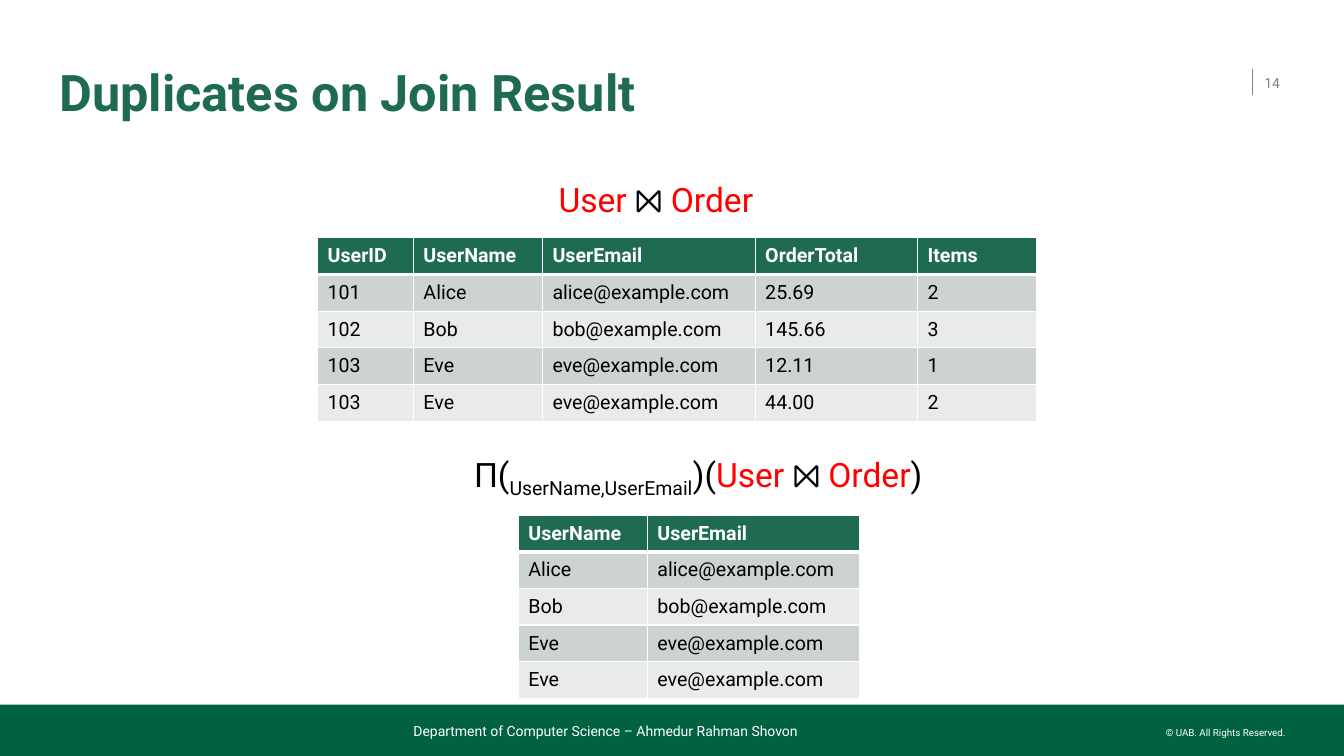
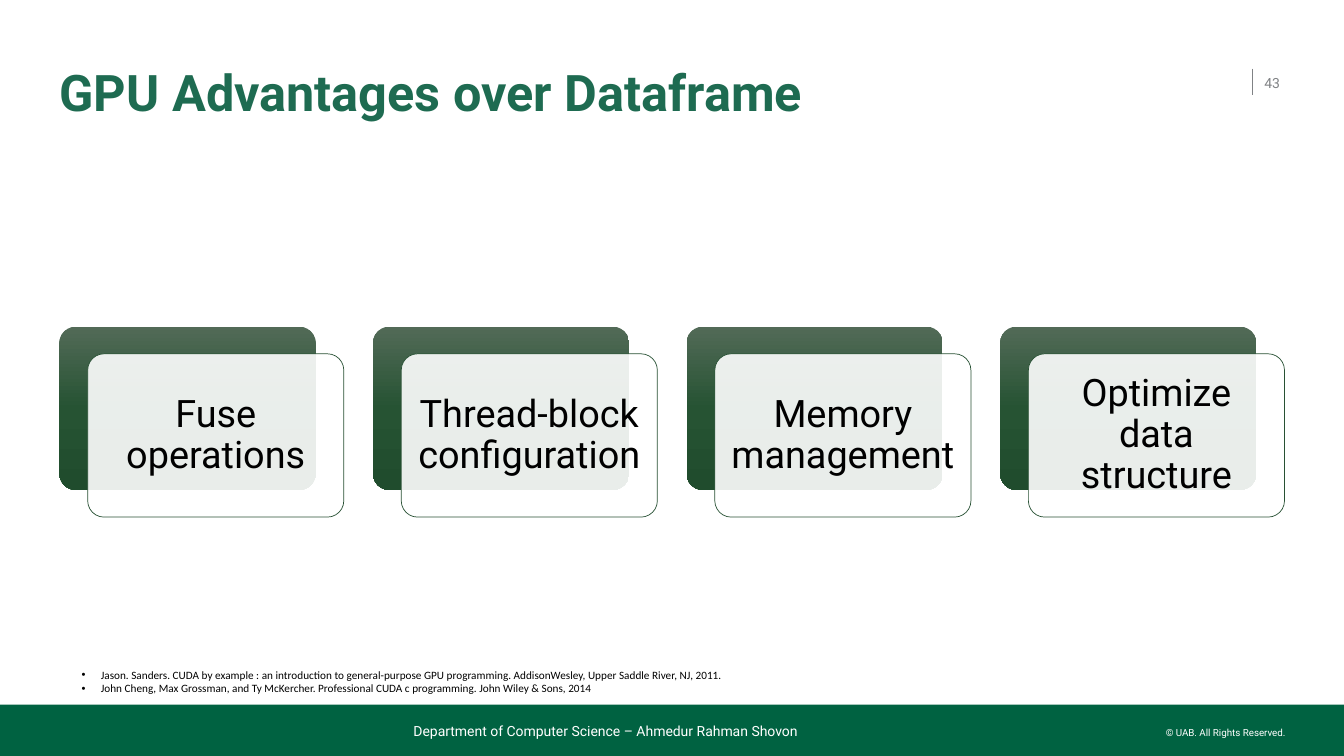
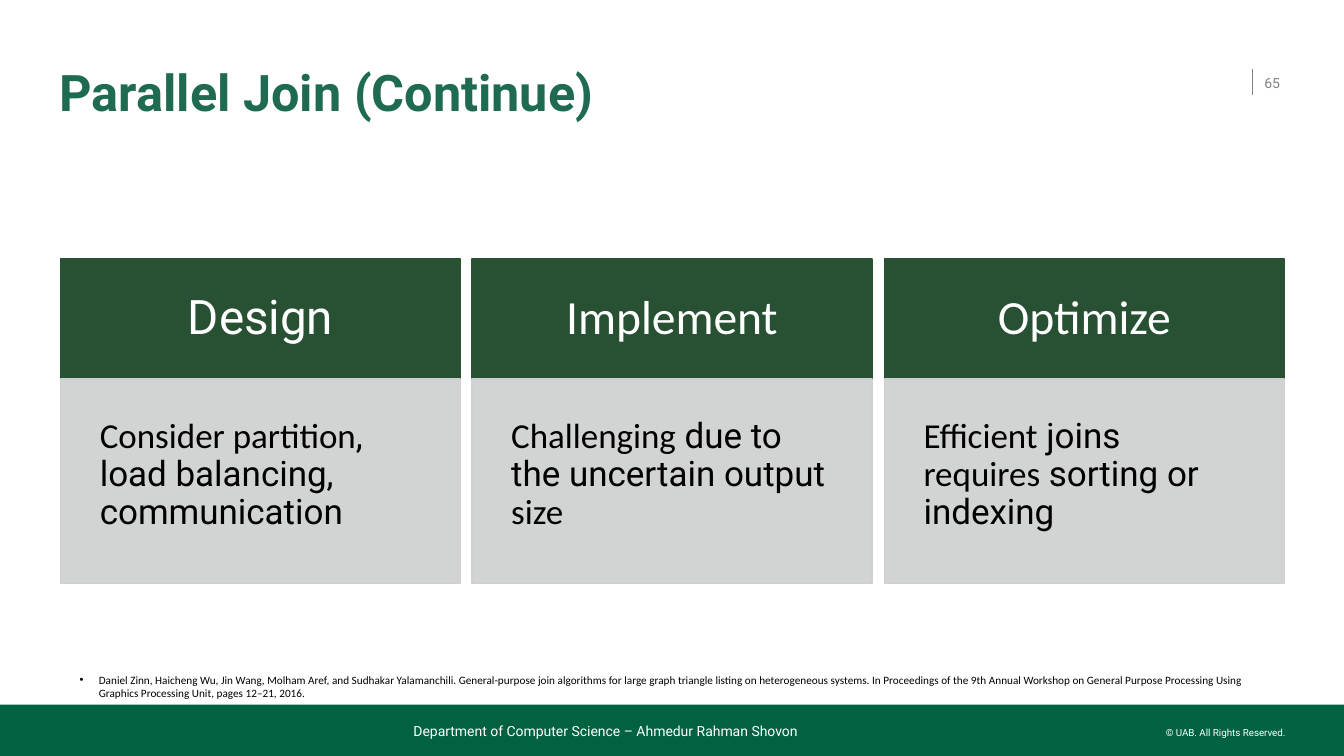
from lxml import etree
from pptx import Presentation
from pptx.dml.color import RGBColor
from pptx.enum.shapes import MSO_CONNECTOR, MSO_SHAPE
from pptx.enum.text import MSO_ANCHOR, MSO_AUTO_SIZE, PP_ALIGN
from pptx.oxml.ns import qn
from pptx.util import Pt

PX = 9144  # EMU in one px, 100 px to the inch
RECTANGLE, ROUNDED = MSO_SHAPE.RECTANGLE, MSO_SHAPE.ROUNDED_RECTANGLE
STRAIGHT = MSO_CONNECTOR.STRAIGHT
TOP, MIDDLE, BOTTOM = MSO_ANCHOR.TOP, MSO_ANCHOR.MIDDLE, MSO_ANCHOR.BOTTOM
LEFT, CENTER, RIGHT = PP_ALIGN.LEFT, PP_ALIGN.CENTER, PP_ALIGN.RIGHT
FIXED = MSO_AUTO_SIZE.NONE
MARGINS = ("margin_left", "margin_top", "margin_right", "margin_bottom")
TITLE_ONLY, TITLE_AND_BODY = 5, 1


class Theme:
    font, second_font = "Roboto", "Calibri"
    white, black, red = "FFFFFF", "000000", "FF0000"
    title, band, grey = "1E6B51", "006241", "808285"
    forest, panel = "285134", "CDD0CE"
    stripes = ("CDD4D0", "E8EBE9")
    card_gradient = ((0, "526A57"), (50, "265333"), (100, "204C2D"))
    title_size, heading_size, panel_size = Pt(36), Pt(34), Pt(25)
    card_size, formula_size, table_size = Pt(27), Pt(24), Pt(14)
    footer_size, reference_size, copyright_size = Pt(10), Pt(8), Pt(7)


# Text styles: attributes of the frame, the paragraphs and the font
flush = dict.fromkeys(MARGINS, 0)
wrapped = {"word_wrap": True, "auto_size": FIXED}
STYLES = {
    "title": {
        "frame": wrapped | flush | {"vertical_anchor": MIDDLE},
        "paragraph": {"alignment": LEFT, "line_spacing": 0.9},
        "font": {"size": Theme.title_size, "color": Theme.title, "bold": True}},
    "number": {
        "frame": wrapped | {"vertical_anchor": MIDDLE, "margin_left": 0, "margin_right": 0},
        "font": {"size": Theme.footer_size, "color": Theme.grey}},
    "footer": {
        "frame": wrapped | flush | {"vertical_anchor": BOTTOM},
        "font": {"size": Theme.footer_size, "color": Theme.white}},
    "copyright": {
        "frame": flush | {"word_wrap": False},
        "paragraph": {"alignment": RIGHT},
        "font": {"size": Theme.copyright_size, "color": Theme.white}},
    "formula": {
        "frame": wrapped,
        "paragraph": {"alignment": CENTER},
        "font": {"size": Theme.formula_size, "color": Theme.black}},
    "table header": {
        "font": {"size": Theme.table_size, "color": Theme.white, "bold": True}},
    "table body": {
        "font": {"size": Theme.table_size, "color": Theme.black, "bold": False}},
    "card": {
        "frame": wrapped | dict.fromkeys(MARGINS, 11 * PX) | {"vertical_anchor": MIDDLE},
        "paragraph": {"alignment": CENTER, "line_spacing": 0.9},
        "font": {"size": Theme.card_size, "color": Theme.black}},
    "heading": {
        "frame": wrapped | dict.fromkeys(MARGINS, 31 * PX) | {"vertical_anchor": MIDDLE},
        "paragraph": {"alignment": CENTER, "line_spacing": 0.9},
        "font": {"size": Theme.heading_size, "color": Theme.white}},
    "panel": {
        "frame": wrapped | dict.fromkeys(MARGINS, 39 * PX) | {"vertical_anchor": TOP},
        "paragraph": {"alignment": LEFT, "line_spacing": 0.9},
        "font": {"size": Theme.panel_size, "color": Theme.black}},
    "reference": {
        "frame": wrapped | {"vertical_anchor": TOP},
        "paragraph": {"space_before": Pt(0)},
        "font": {"size": Theme.reference_size, "color": Theme.black,
                 "name": Theme.second_font}},
}


def write_text(frame, style_name, *paragraphs):
    """Each paragraph is a list of (text, font changes) runs."""
    style = STYLES[style_name]
    for name, value in style.get("frame", {}).items():
        setattr(frame, name, value)
    for index, runs in enumerate(paragraphs):
        paragraph = frame.add_paragraph() if index else frame.paragraphs[0]
        for name, value in style.get("paragraph", {}).items():
            setattr(paragraph, name, value)
        for text, changes in runs:
            run = paragraph.add_run()
            run.text = text
            values = {"name": Theme.font} | style["font"] | changes
            run.font.color.rgb = RGBColor.from_string(values.pop("color"))
            for name, value in values.items():
                setattr(run.font, name, value)


def add_box(slide, kind, box, fill, line=None, width=1, opacity=100):
    shape = slide.shapes.add_shape(kind, *(length * PX for length in box))
    shape.shadow.inherit = False
    shape.fill.solid()
    shape.fill.fore_color.rgb = RGBColor.from_string(fill)
    if opacity < 100:
        color = shape._element.spPr.find(".//" + qn("a:srgbClr"))
        etree.SubElement(color, qn("a:alpha"), val=str(opacity * 1000))
    if line:
        shape.line.color.rgb = RGBColor.from_string(line)
        shape.line.width = Pt(width)
    else:
        shape.line.fill.background()
    return shape


presentation = Presentation()
presentation.slide_width, presentation.slide_height = 1333 * PX, 750 * PX

# Shared parts: title, number with rule, band and footers
pages = [
    ("Duplicates on Join Result", "14", TITLE_ONLY),
    ("GPU Advantages over Dataframe", "43", TITLE_AND_BODY),
    ("Parallel Join (Continue)", "65", TITLE_AND_BODY),
]
slides = []
for title_text, number, layout in pages:
    slide = presentation.slides.add_slide(presentation.slide_layouts[layout])
    slides.append(slide)
    title = slide.shapes.title
    title.left, title.top, title.width, title.height = 59 * PX, 52 * PX, 1163 * PX, 84 * PX
    write_text(title.text_frame, "title", [(title_text, {})])

    rule = slide.shapes.add_connector(STRAIGHT, 1242 * PX, 68 * PX, 1242 * PX, 94 * PX)
    rule.line.color.rgb = RGBColor.from_string(Theme.grey)
    rule.line.width = Pt(1)
    etree.SubElement(rule._element.spPr, qn("a:effectLst"))

    add_box(slide, RECTANGLE, (0, 699, 1333, 51), Theme.band)
    for style_name, text, box in [
        ("copyright", "© UAB. All Rights Reserved.", (1155, 721, 120, 12)),
        ("number", number, (1254, 62, 33, 40)),
        ("footer", "Department of Computer Science – Ahmedur Rahman Shovon",
         (410, 711, 708, 23)),
    ]:
        text_box = slide.shapes.add_textbox(*(length * PX for length in box))
        write_text(text_box.text_frame, style_name, [(text, {})])

join_slide, gpu_slide, parallel_slide = slides

# Join slide: the full join and its projection on name and e-mail
orders = [
    ("UserID", "UserName", "UserEmail", "OrderTotal", "Items"),
    ("101", "Alice", "alice@example.com", "25.69", "2"),
    ("102", "Bob", "bob@example.com", "145.66", "3"),
    ("103", "Eve", "eve@example.com", "12.11", "1"),
    ("103", "Eve", "eve@example.com", "44.00", "2"),
]
column_widths = (95, 128, 211, 161, 118)
row_height = 36.4
for left, top, columns in [(315, 236, slice(0, 5)), (514, 511, slice(1, 3))]:
    widths = column_widths[columns]
    table = join_slide.shapes.add_table(
        len(orders), len(widths), left * PX, top * PX,
        sum(widths) * PX, round(len(orders) * row_height * PX)).table
    table.first_row = table.horz_banding = False
    for column, width in zip(table.columns, widths):
        column.width = width * PX
    for row_index, values in enumerate(orders):
        table.rows[row_index].height = round(row_height * PX)
        for column_index, value in enumerate(values[columns]):
            cell = table.cell(row_index, column_index)
            cell.vertical_anchor = MIDDLE
            cell.fill.solid()
            fill = Theme.stripes[(row_index - 1) % 2] if row_index else Theme.title
            cell.fill.fore_color.rgb = RGBColor.from_string(fill)
            style_name = "table body" if row_index else "table header"
            write_text(cell.text_frame, style_name, [(value, {})])
            # White borders, thick under the header row
            properties = cell._tc.get_or_add_tcPr()
            for position, side in enumerate("LRTB"):
                thick = (side, row_index) in (("B", 0), ("T", 1))
                border = etree.Element(qn(f"a:ln{side}"), w=str(Pt(3 if thick else 1)))
                solid = etree.SubElement(border, qn("a:solidFill"))
                etree.SubElement(solid, qn("a:srgbClr"), val=Theme.white)
                properties.insert(position, border)

red = {"color": Theme.red}
join = [("User ", red), ("⨝ ", {}), ("Order", red)]
projection = [("Π(", {}), ("UserName,UserEmail", {}), (")(", {}), *join, (")", {})]
for left, top, formula in [(323, 173, join), (365, 445, projection)]:
    text_box = join_slide.shapes.add_textbox(left * PX, top * PX, 655 * PX, 50 * PX)
    write_text(text_box.text_frame, "formula", formula)
subscript = text_box.text_frame.paragraphs[0].runs[1]
subscript.font._element.set("baseline", "-25000")

# GPU slide: four cards, each over a gradient plate
advantages = ["Fuse operations", "Thread-block configuration",
              "Memory management", "Optimize data structure"]
for index, advantage in enumerate(advantages):
    left = 59 + index * 311
    plate = add_box(gpu_slide, ROUNDED, (left, 324, 254, 162), Theme.forest)
    plate.fill.gradient()
    plate.fill.gradient_angle = 270
    stops = plate._element.spPr.find(".//" + qn("a:gsLst"))
    del stops[:]
    for position, color in Theme.card_gradient:
        stop = etree.SubElement(stops, qn("a:gs"), pos=str(position * 1000))
        etree.SubElement(stop, qn("a:srgbClr"), val=color)
    card = add_box(gpu_slide, ROUNDED, (left + 28, 351, 254, 162), Theme.white,
                   line=Theme.forest, width=0.5, opacity=90)
    plate.adjustments[0] = card.adjustments[0] = 0.1
    write_text(card.text_frame, "card", [(advantage, {})])

# Parallel slide: three headed panels
second = {"name": Theme.second_font}
stages = [
    (("Design", {}),
     [("Consider partition", second), (", load balancing, communication", {})]),
    (("Implement", second),
     [("Challenging", second), (" due to the uncertain output ", {}), ("size", second)]),
    (("Optimize", second),
     [("Efficient", second), (" joins ", {}), ("requires", second),
      (" sorting or indexing", {})]),
]
panel_width = 397
pitch = (1274 - 60 - panel_width) / (len(stages) - 1)
for index, (heading_run, panel_runs) in enumerate(stages):
    left = int(60 + index * pitch)
    heading = add_box(parallel_slide, RECTANGLE, (left, 257, panel_width, 119),
                      Theme.forest, line=Theme.forest)
    write_text(heading.text_frame, "heading", [heading_run])
    panel = add_box(parallel_slide, RECTANGLE, (left, 376, panel_width, 203),
                    Theme.panel, line=Theme.panel, opacity=90)
    write_text(panel.text_frame, "panel", panel_runs)

# Reference lists
references = [
    (gpu_slide, (71, 658, 1108, 37), [
        "Jason. Sanders. CUDA by example : an introduction to general-purpose GPU "
        "programming. AddisonWesley, Upper Saddle River, NJ, 2011.",
        "John Cheng, Max Grossman, and Ty McKercher. Professional CUDA c programming. "
        "John Wiley & Sons, 2014"]),
    (parallel_slide, (69, 663, 1185, 37), [
        "Daniel Zinn, Haicheng Wu, Jin Wang, Molham Aref, and Sudhakar Yalamanchili. "
        "General-purpose join algorithms for large graph triangle listing on "
        "heterogeneous systems. In Proceedings of the 9th Annual Workshop on General "
        "Purpose Processing Using Graphics Processing Unit, pages 12–21, 2016."]),
]
for slide, box, entries in references:
    body = slide.placeholders[1]
    body.left, body.top, body.width, body.height = (length * PX for length in box)
    write_text(body.text_frame, "reference", *([(entry, {})] for entry in entries))
    for paragraph in body.text_frame.paragraphs:
        properties = paragraph._p.get_or_add_pPr()
        properties.set("marL", str(19 * PX))
        properties.set("indent", str(-19 * PX))
        etree.SubElement(properties, qn("a:buFont"), typeface="Arial")
        etree.SubElement(properties, qn("a:buChar"), char="•")

presentation.save("out.pptx")
